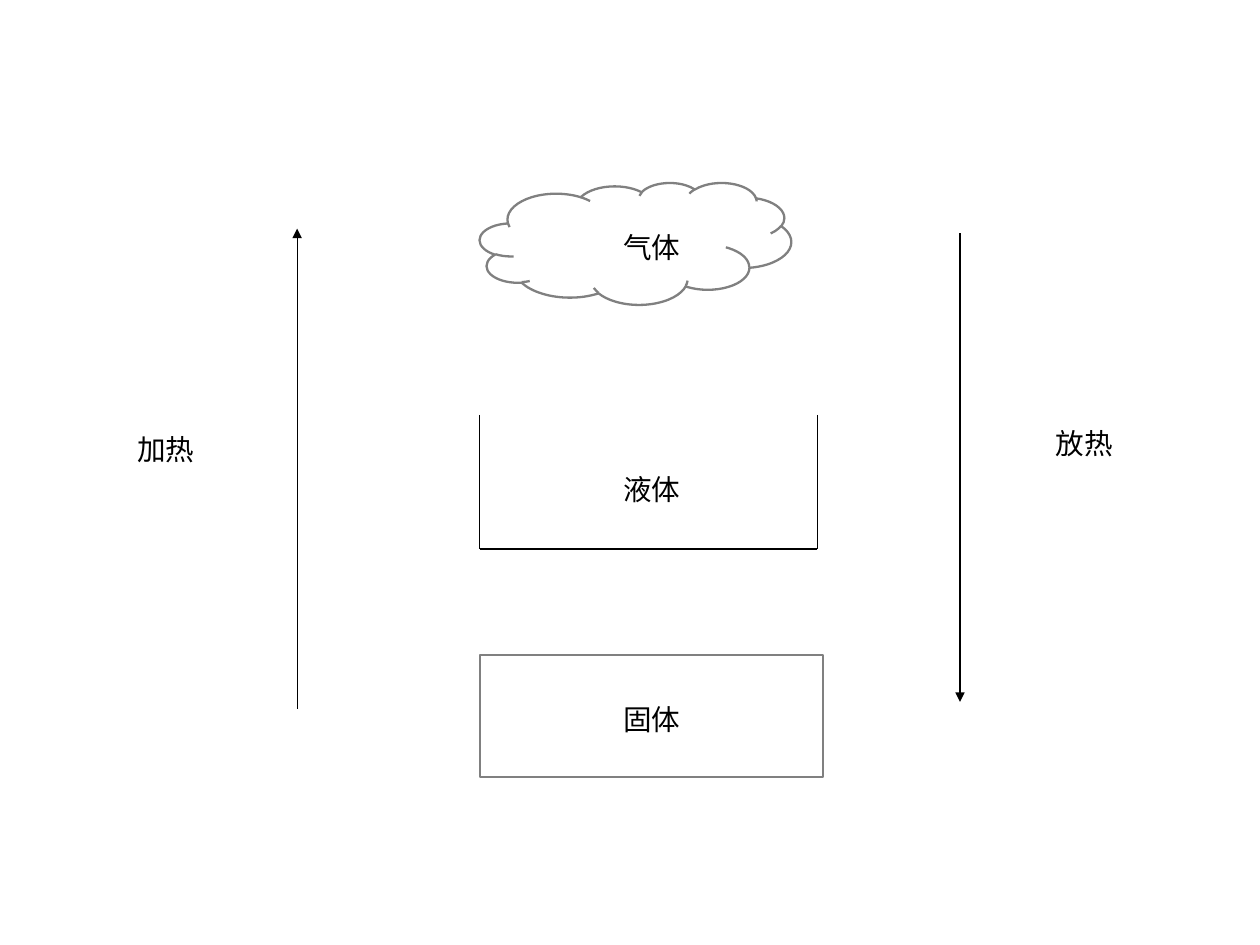
from dataclasses import dataclass

import pptx
import pptx.dml.color
import pptx.enum.shapes
import pptx.oxml.ns
import pptx.slide
import pptx.util
from lxml import etree

FONT = "Noto Sans CJK SC"
BLACK = "000000"
GRAY = "808080"
WHITE = "FFFFFF"
SLIDE_WIDTH = 793.75
SLIDE_HEIGHT = 595.25
LABEL_WIDTH = 50.4
LABEL_HEIGHT = 27.4
STATE_LEFT = 302.3
STATE_LABEL_LEFT = 385.6
VESSEL_RIGHT = 514.8
VESSEL_TOP = 261.4
VESSEL_BOTTOM = 345.8


@dataclass(frozen=True)
class Label:
    text: str
    left: float
    top: float


@dataclass(frozen=True)
class Line:
    start_x: float
    start_y: float
    end_x: float
    end_y: float
    arrow: bool = False


@dataclass(frozen=True)
class Outline:
    kind: pptx.enum.shapes.MSO_SHAPE
    top: float
    width: float
    height: float


OUTLINES = [
    Outline(pptx.enum.shapes.MSO_SHAPE.ROUNDED_RECTANGLE, 412.5, 216, 76.8),
    Outline(pptx.enum.shapes.MSO_SHAPE.CLOUD, 115, 196.2, 76.8),
]

LINES = [
    Line(STATE_LEFT, VESSEL_TOP, STATE_LEFT, VESSEL_BOTTOM),
    Line(VESSEL_RIGHT, VESSEL_TOP, VESSEL_RIGHT, VESSEL_BOTTOM),
    Line(STATE_LEFT, VESSEL_BOTTOM, VESSEL_RIGHT, VESSEL_BOTTOM),
    Line(187.2, 446.4, 187.2, 144, arrow=True),
    Line(604.8, 146.9, 604.8, 442.1, arrow=True),
]

LABELS = [
    Label("加热", 79.4, 270.4),
    Label("放热", 657.9, 266.4),
    Label("固体", STATE_LABEL_LEFT, 440.3),
    Label("液体", STATE_LABEL_LEFT, 295.9),
    Label("气体", STATE_LABEL_LEFT, 143.3),
]


def color(value: str) -> pptx.dml.color.RGBColor:
    return pptx.dml.color.RGBColor.from_string(value)


def draw_outline(slide: pptx.slide.Slide, outline: Outline) -> None:
    shape = slide.shapes.add_shape(
        outline.kind,
        pptx.util.Pt(STATE_LEFT),
        pptx.util.Pt(outline.top),
        pptx.util.Pt(outline.width),
        pptx.util.Pt(outline.height),
    )
    shape.shadow.inherit = False
    shape.fill.solid()
    shape.fill.fore_color.rgb = color(WHITE)
    shape.line.color.rgb = color(GRAY)
    shape.line.width = pptx.util.Pt(1.45)
    if outline.kind == pptx.enum.shapes.MSO_SHAPE.ROUNDED_RECTANGLE:
        shape.adjustments[0] = 0


def draw_line(slide: pptx.slide.Slide, line: Line) -> None:
    connector = slide.shapes.add_connector(
        pptx.enum.shapes.MSO_CONNECTOR.STRAIGHT,
        pptx.util.Pt(line.start_x),
        pptx.util.Pt(line.start_y),
        pptx.util.Pt(line.end_x),
        pptx.util.Pt(line.end_y),
    )
    connector.line.color.rgb = color(BLACK)
    connector.line.width = pptx.util.Pt(0.75)
    properties = connector._element.spPr
    if line.arrow:
        stroke = properties.find(pptx.oxml.ns.qn("a:ln"))
        etree.SubElement(stroke, pptx.oxml.ns.qn("a:tailEnd"), type="triangle")
    etree.SubElement(properties, pptx.oxml.ns.qn("a:effectLst"))


def draw_label(slide: pptx.slide.Slide, label: Label) -> None:
    box = slide.shapes.add_textbox(
        pptx.util.Pt(label.left),
        pptx.util.Pt(label.top),
        pptx.util.Pt(LABEL_WIDTH),
        pptx.util.Pt(LABEL_HEIGHT),
    )
    box.text_frame.word_wrap = False
    paragraph = box.text_frame.paragraphs[0]
    paragraph.line_spacing = 0.93
    run = paragraph.add_run()
    run.text = label.text
    run.font.size = pptx.util.Pt(18)
    run.font.color.rgb = color(BLACK)
    run.font.name = FONT
    properties = run._r.get_or_add_rPr()
    etree.SubElement(properties, pptx.oxml.ns.qn("a:ea"), typeface=FONT)


def main() -> None:
    presentation = pptx.Presentation()
    presentation.slide_width = pptx.util.Pt(SLIDE_WIDTH)
    presentation.slide_height = pptx.util.Pt(SLIDE_HEIGHT)
    slide = presentation.slides.add_slide(presentation.slide_layouts[6])
    for outline in OUTLINES:
        draw_outline(slide, outline)
    for line in LINES:
        draw_line(slide, line)
    for label in LABELS:
        draw_label(slide, label)
    presentation.save("out.pptx")


if __name__ == "__main__":
    main()
